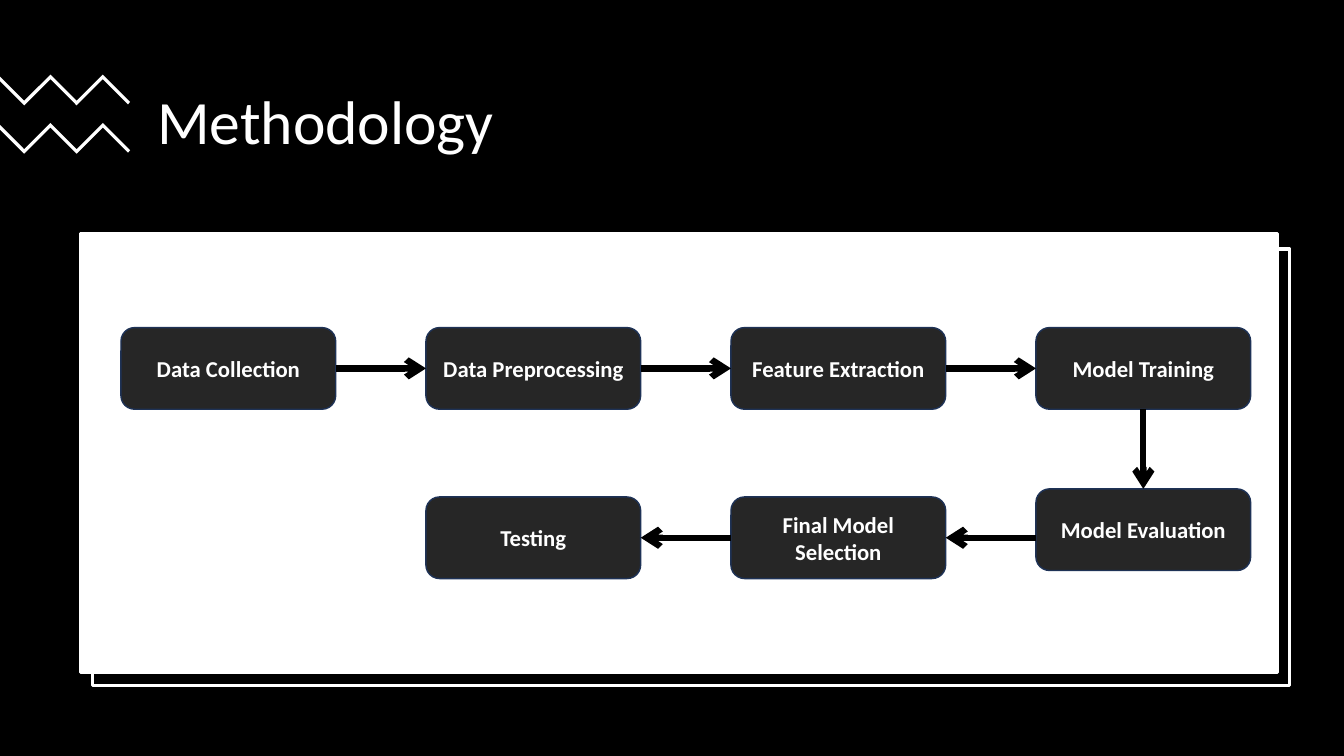
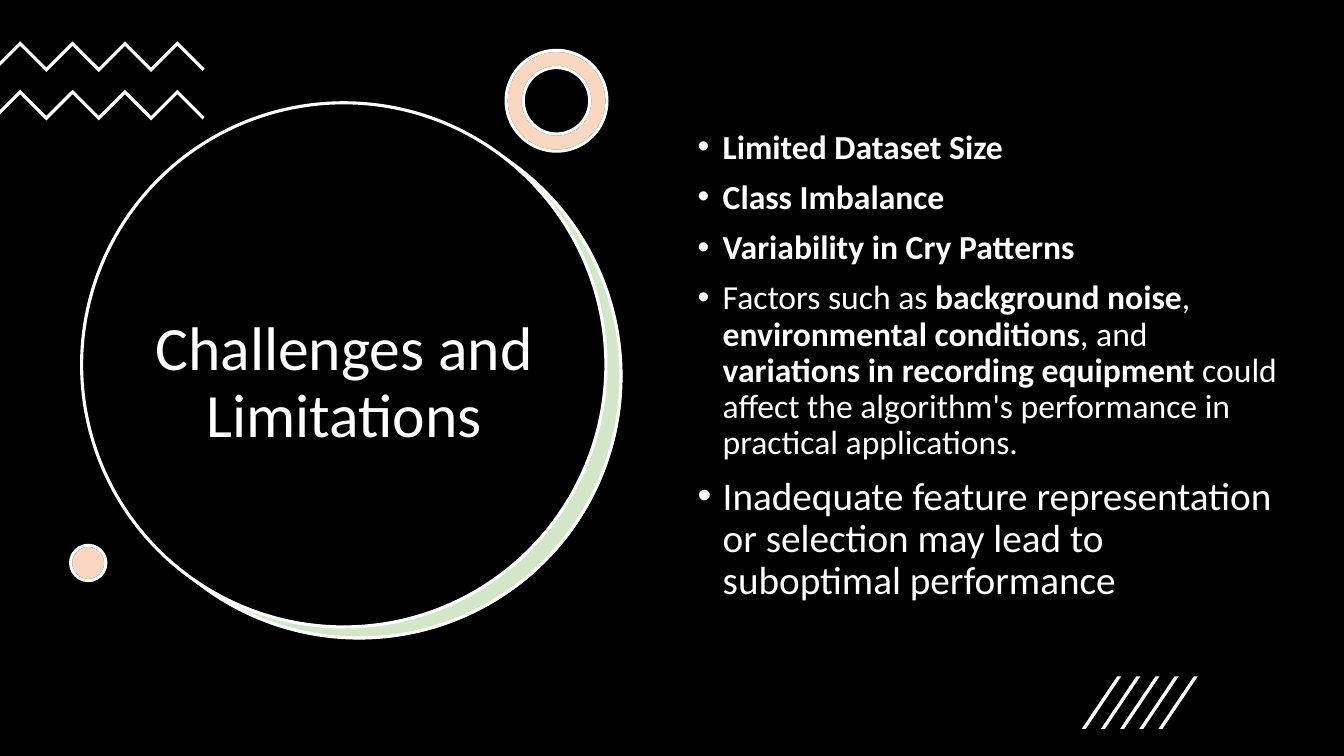
from lxml import etree
from pptx import Presentation
from pptx.dml.color import RGBColor
from pptx.enum.shapes import MSO_CONNECTOR, MSO_SHAPE
from pptx.enum.text import MSO_ANCHOR, PP_ALIGN
from pptx.oxml.ns import qn
from pptx.util import Inches, Pt

RECT, ROUND = MSO_SHAPE.RECTANGLE, MSO_SHAPE.ROUNDED_RECTANGLE
OVAL, DONUT = MSO_SHAPE.OVAL, MSO_SHAPE.DONUT
STRAIGHT = MSO_CONNECTOR.STRAIGHT
TOP, MIDDLE = MSO_ANCHOR.TOP, MSO_ANCHOR.MIDDLE
LEFT, CENTER = PP_ALIGN.LEFT, PP_ALIGN.CENTER

BLACK, WHITE, CHARCOAL, NAVY = "000000", "FFFFFF", "262626", "1E3256"
GREEN, ORANGE = "70AD47", "ED7D31"
FONT = "Calibri"
OUTLINE = 2.25

STEP_W, STEP_H, STEP_PITCH = 2.13, 0.81, 3.025
# label, column, top; all measured within the panel
STEPS = [
    ("Data Collection", 0, 0.93),
    ("Data Preprocessing", 1, 0.93),
    ("Feature Extraction", 2, 0.93),
    ("Model Training", 3, 0.93),
    ("Model Evaluation", 3, 2.53),
    ("Final Model Selection", 2, 2.61),
    ("Testing", 1, 2.61),
]

# size, then runs of (text, bold)
CHALLENGES = [
    (24, [("Limited Dataset Size", True)]),
    (24, [("Class Imbalance", True)]),
    (24, [("Variability in Cry Patterns", True)]),
    (24, [("Factors such as ", False), ("background noise", True), (", ", False),
          ("environmental conditions", True), (", and ", False),
          ("variations in recording equipment ", True),
          ("could affect the algorithm's performance in practical applications.", False)]),
    (28, [("Inadequate feature representation or selection may lead to "
           "suboptimal performance", False)]),
]


def rgb(value):
    return RGBColor.from_string(value)


def paint(sp, fill, line=None, width=OUTLINE, alpha=None):
    """Set fill and outline; alpha is the fill's opacity in percent."""
    sp.shadow.inherit = False
    sp.fill.solid()
    sp.fill.fore_color.rgb = rgb(fill)
    if alpha is not None:
        color = sp.fill._xPr.find(qn("a:solidFill"))[0]
        etree.SubElement(color, qn("a:alpha"), val=str(alpha * 1000))
    if line:
        sp.line.color.rgb = rgb(line)
        sp.line.width = Pt(width)
    else:
        sp.line.fill.background()


def add_shape(s, kind, box, fill, **style):
    sp = s.shapes.add_shape(kind, *map(Inches, box))
    paint(sp, fill, **style)
    return sp


def add_polygon(shapes, points, fill):
    points = [(Inches(x), Inches(y)) for x, y in points]
    builder = shapes.build_freeform(*points[0], scale=1.0)
    builder.add_line_segments(points[1:], close=True)
    paint(builder.convert_to_shape(), fill)


def format_frame(tf, anchor):
    tf.word_wrap = True
    tf.vertical_anchor = anchor


def format_paragraph(p, **values):
    for name, value in values.items():
        setattr(p, name, value)


def add_run(p, text, size, bold=False):
    r = p.add_run()
    r.text = text
    values = {"name": FONT, "size": Pt(size), "bold": bold}
    for name, value in values.items():
        setattr(r.font, name, value)
    r.font.color.rgb = rgb(WHITE)


def add_bullet(p, indent):
    pPr = p._p.get_or_add_pPr()
    pPr.set("marL", str(Inches(indent)))
    pPr.set("indent", str(-Inches(indent)))
    etree.SubElement(pPr, qn("a:buFont"), typeface="Arial")
    etree.SubElement(pPr, qn("a:buChar"), char="•")


def add_title(s, box, text, align):
    tf = s.shapes.add_textbox(*map(Inches, box)).text_frame
    format_frame(tf, MIDDLE)
    p = tf.paragraphs[0]
    format_paragraph(p, alignment=align, line_spacing=0.9)
    add_run(p, text, 44)


def add_zigzags(s, top, first, count, starts_high):
    """Two ribbons from the left slide edge; first is the x of the first corner."""
    rise, thick, gap = 0.26, 0.045, 0.48
    shapes = s.shapes.add_group_shape().shapes
    edge = [(0, first if starts_high else rise - first)]
    for i in range(count):
        high = (i % 2 == 0) == starts_high
        edge.append((first + i * rise, 0 if high else rise))
    x = edge[-1][0]
    tip = [(x + 0.27, 0.27), (x + 0.25, 0.295)]
    ribbon = edge + tip + [(x, y + thick) for x, y in reversed(edge)]
    for y0 in (top, top + gap):
        add_polygon(shapes, [(x, y + y0) for x, y in ribbon], WHITE)


def add_slashes(s, left, top):
    width, height, slant, pitch = 0.04, 0.52, 0.35, 0.19
    shapes = s.shapes.add_group_shape().shapes
    for i in range(5):
        x = left + i * pitch
        add_polygon(shapes, [(x + width, top + height), (x, top + height),
                             (x + slant, top), (x + slant + width, top)], WHITE)


def add_tinted(s, kind, box):
    """White shape under a translucent orange one, which gives a pale tint."""
    base = add_shape(s, kind, box, WHITE, line=BLACK)
    tint = add_shape(s, kind, box, ORANGE, line=WHITE, alpha=30)
    if kind == DONUT:
        base.adjustments[0] = tint.adjustments[0] = 0.17


def add_step(s, box, label):
    sp = add_shape(s, ROUND, box, CHARCOAL, line=NAVY, width=1)
    format_frame(sp.text_frame, MIDDLE)
    p = sp.text_frame.paragraphs[0]
    format_paragraph(p, alignment=CENTER, space_after=Pt(6))
    add_run(p, label, 16.2, True)


def add_arrow(s, a, b):
    """Arrow from box a to box b, level with the middle of b."""
    if a[0] == b[0]:
        x = a[0] + STEP_W / 2
        ends = (x, a[1] + STEP_H, x, b[1])
    else:
        y = b[1] + STEP_H / 2
        rightward = b[0] > a[0]
        ends = (a[0] + STEP_W * rightward, y, b[0] + STEP_W * (not rightward), y)
    line = s.shapes.add_connector(STRAIGHT, *map(Inches, ends))
    line.line.color.rgb = rgb(BLACK)
    line.line.width = Pt(4.5)
    etree.SubElement(line.line._get_or_add_ln(), qn("a:tailEnd"), type="arrow")
    etree.SubElement(line._element.spPr, qn("a:effectLst"))


def add_flow_panel(s, left, top, width, height):
    add_shape(s, RECT, (left + 0.12, top + 0.15, width, height - 0.02), BLACK, line=WHITE)
    add_shape(s, RECT, (left, top, width, height), WHITE, line=WHITE)
    boxes = [(left + 0.4 + col * STEP_PITCH, top + y, STEP_W, STEP_H)
             for _, col, y in STEPS]
    for (label, _, _), box in zip(STEPS, boxes):
        add_step(s, box, label)
    for a, b in zip(boxes, boxes[1:]):
        add_arrow(s, a, b)


def add_title_disc(s, left, top, size, title):
    add_shape(s, OVAL, (left + 0.16, top + 0.12, size, size), WHITE)
    add_shape(s, OVAL, (left + 0.15, top + 0.11, size, size), GREEN, line=WHITE, alpha=30)
    add_shape(s, OVAL, (left, top, size, size), BLACK, line=WHITE)
    add_title(s, (left + 0.4, top + 1.03, 4.41, 3.52), title, CENTER)


def add_bullet_list(s, box, items):
    tf = s.shapes.add_textbox(*map(Inches, box)).text_frame
    format_frame(tf, TOP)
    for i, (size, runs) in enumerate(items):
        p = tf.add_paragraph() if i else tf.paragraphs[0]
        add_bullet(p, 0.25)
        format_paragraph(p, alignment=LEFT, line_spacing=0.9,
                         space_before=Pt(10 if i else 0))
        for text, bold in runs:
            add_run(p, text, size, bold)


def new_slide(prs):
    s = prs.slides.add_slide(prs.slide_layouts[6])
    s.background.fill.solid()
    s.background.fill.fore_color.rgb = rgb(BLACK)
    return s


def methodology_slide(prs):
    s = new_slide(prs)
    add_title(s, (1.46, 0.62, 10.66, 1.23), "Methodology", LEFT)
    add_zigzags(s, 0.74, 0.24, 4, starts_high=False)
    add_flow_panel(s, 0.8, 2.32, 11.87, 4.35)


def challenges_slide(prs):
    s = new_slide(prs)
    add_title_disc(s, 0.81, 1.02, 5.2, "Challenges and Limitations")
    add_zigzags(s, 0.41, 0.2, 7, starts_high=True)
    add_tinted(s, DONUT, (5.02, 0.5, 1, 1))
    add_tinted(s, OVAL, (0.7, 5.41, 0.35, 0.35))
    add_bullet_list(s, (6.82, 1.24, 6.03, 5.82), CHALLENGES)
    add_slashes(s, 10.73, 6.71)


def main():
    prs = Presentation()
    prs.slide_width, prs.slide_height = Inches(13.33), Inches(7.5)
    methodology_slide(prs)
    challenges_slide(prs)
    prs.save("out.pptx")


if __name__ == "__main__":
    main()
